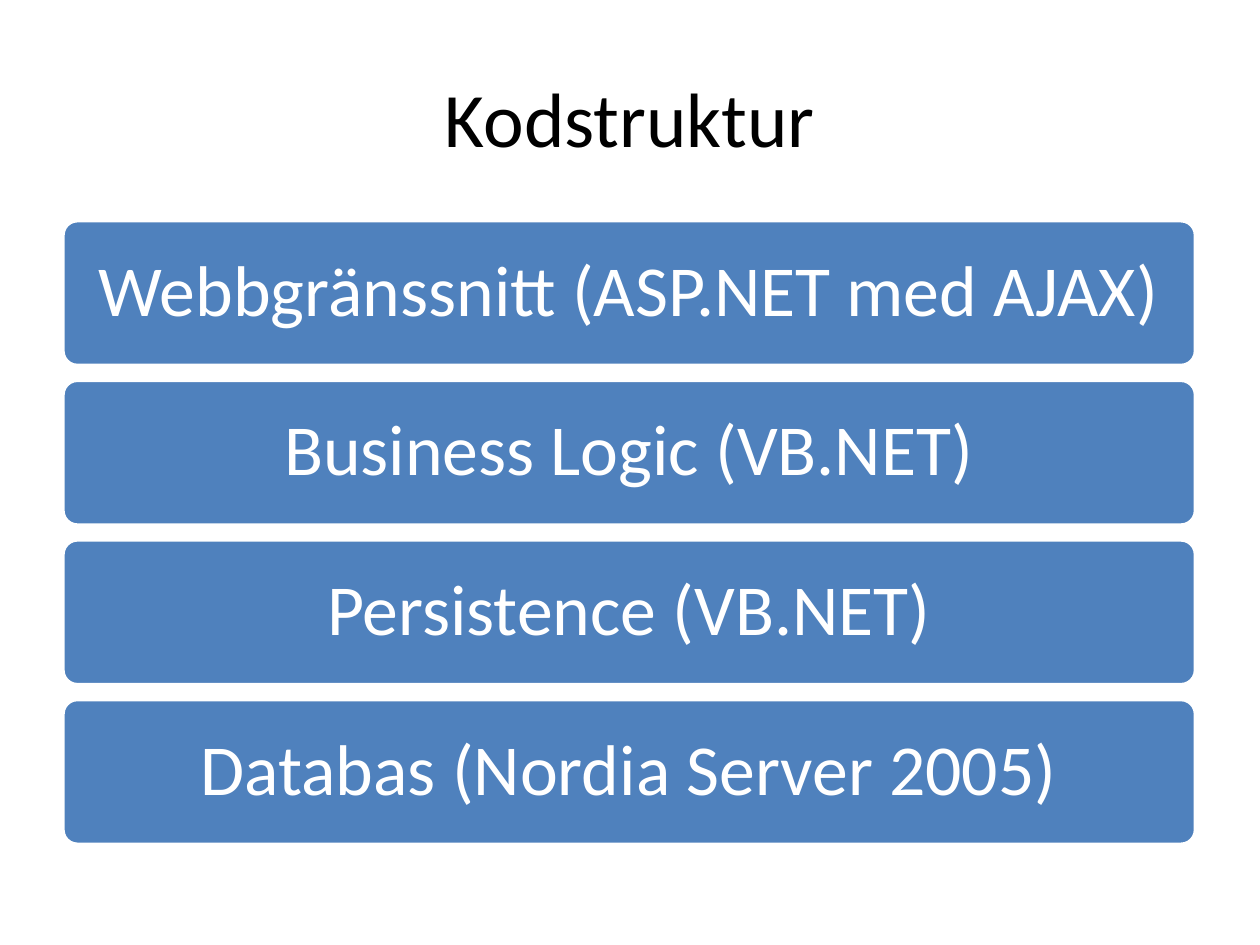
from dataclasses import dataclass

from pptx import Presentation
from pptx.dml.color import RGBColor
from pptx.enum.shapes import MSO_SHAPE
from pptx.enum.text import MSO_ANCHOR, PP_ALIGN
from pptx.util import Cm, Pt

ROUNDED = MSO_SHAPE.ROUNDED_RECTANGLE
MIDDLE = MSO_ANCHOR.MIDDLE
CENTER = PP_ALIGN.CENTER
BLANK_LAYOUT = 6


@dataclass(frozen=True)
class Theme:
    font: str = "Calibri"
    title_size: Pt = Pt(44)
    layer_size: Pt = Pt(41)
    black: RGBColor = RGBColor(0x00, 0x00, 0x00)
    white: RGBColor = RGBColor(0xFF, 0xFF, 0xFF)
    blue: RGBColor = RGBColor(0x4F, 0x81, 0xBD)


THEME = Theme()
LAYERS = [
    "Webbgränssnitt (ASP.NET med AJAX)",
    "Business Logic (VB.NET)",
    "Persistence (VB.NET)",
    "Databas (Nordia Server 2005)",
]


def write_centered(shape, text, size, color):
    frame = shape.text_frame
    frame.word_wrap = True
    frame.vertical_anchor = MIDDLE
    paragraph = frame.paragraphs[0]
    paragraph.text = text
    paragraph.alignment = CENTER
    paragraph.font.name = THEME.font
    paragraph.font.size = size
    paragraph.font.color.rgb = color
    return frame


def add_title(slide, text, left, top, width, height):
    box = slide.shapes.add_textbox(left, top, width, height)
    write_centered(box, text, THEME.title_size, THEME.black)


def add_layer(slide, text, left, top, width, height):
    shape = slide.shapes.add_shape(ROUNDED, left, top, width, height)
    shape.adjustments[0] = 0.1
    shape.shadow.inherit = False
    shape.fill.solid()
    shape.fill.fore_color.rgb = THEME.blue
    shape.line.color.rgb = THEME.white
    shape.line.width = Pt(2)
    frame = write_centered(shape, text, THEME.layer_size, THEME.white)
    frame.paragraphs[0].line_spacing = 0.9
    frame.margin_left = frame.margin_right = Cm(0.43)
    frame.margin_top = frame.margin_bottom = Cm(0.43)


def add_layer_stack(slide, layers, left, top, width, height, gap):
    """Fill the box with equally tall layers, one below the other."""
    layer_height = (height - gap * (len(layers) - 1)) // len(layers)
    for index, text in enumerate(layers):
        layer_top = top + index * (layer_height + gap)
        add_layer(slide, text, left, layer_top, width, layer_height)


def main():
    presentation = Presentation()
    presentation.slide_width = Cm(25.4)
    presentation.slide_height = Cm(19.05)
    slide = presentation.slides.add_slide(presentation.slide_layouts[BLANK_LAYOUT])
    add_title(slide, "Kodstruktur", Cm(1.27), Cm(0.76), Cm(22.86), Cm(3.18))
    add_layer_stack(slide, LAYERS, Cm(1.27), Cm(4.45), Cm(22.83), Cm(12.57), Cm(0.3))
    presentation.save("out.pptx")


if __name__ == "__main__":
    main()
